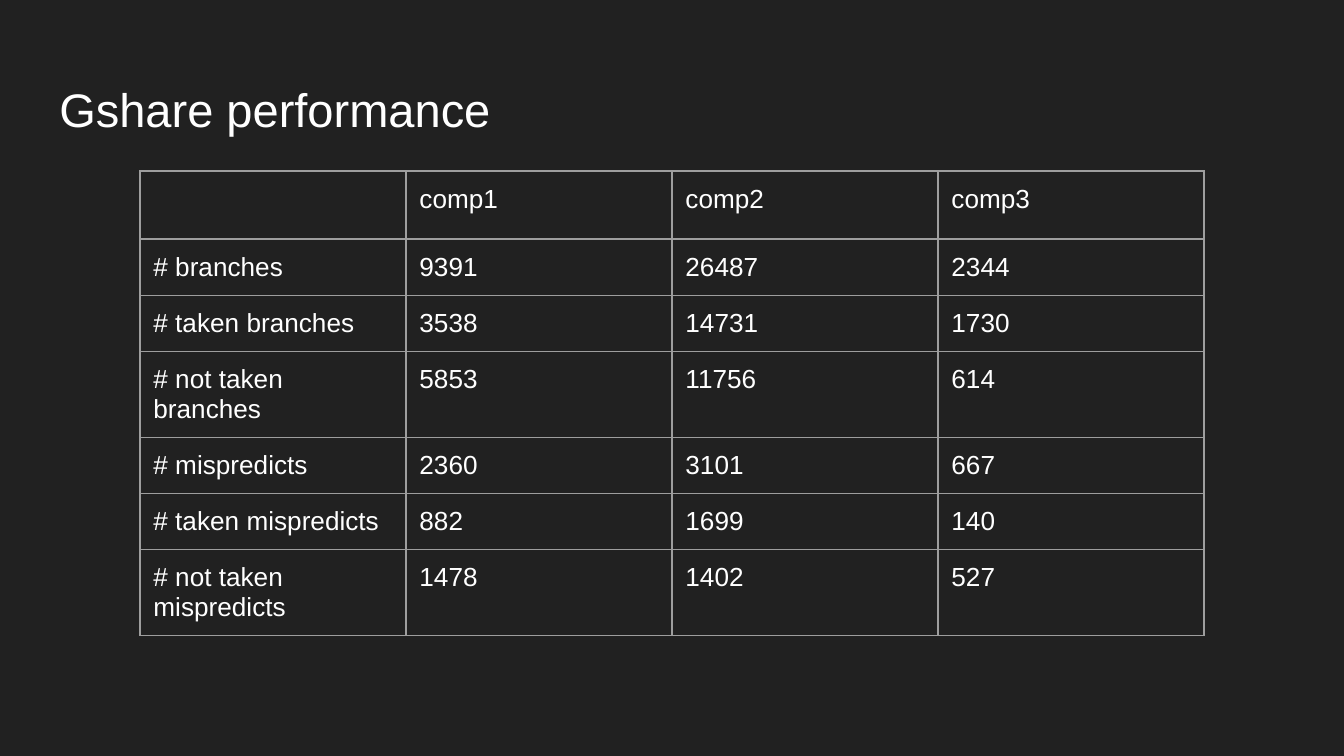
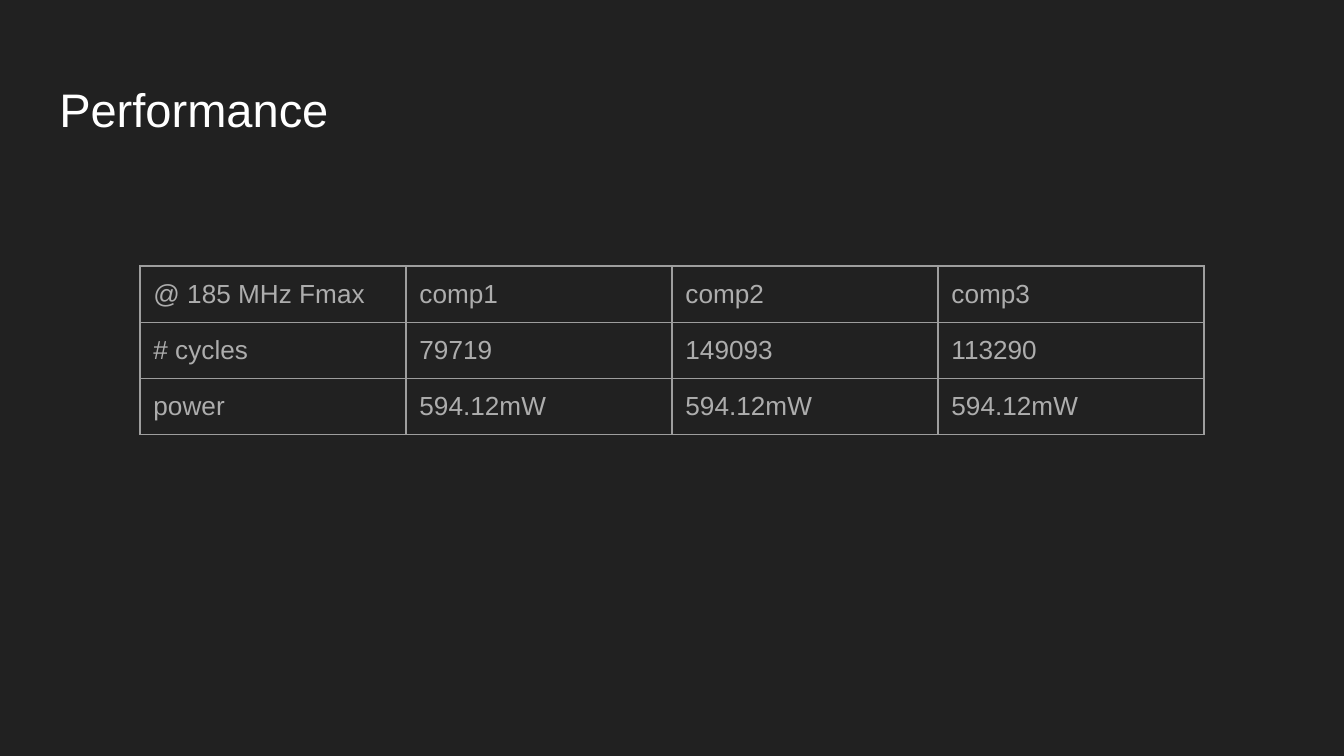
import pptx
import pptx.dml.color
import pptx.enum.text
import pptx.oxml.ns
import pptx.util
from dataclasses import dataclass
from lxml import etree

Pt = pptx.util.Pt
RGB = pptx.dml.color.RGBColor.from_string


@dataclass(frozen=True)
class Theme:
    background: str = "212121"
    white: str = "FFFFFF"
    grey: str = "ADADAD"
    border: str = "9E9E9E"
    border_width: float = 0.75
    font: str = "Arial"
    title_size: float = 25.2
    cell_size: float = 14
    inset: float = 7.2


THEME = Theme()
SLIDE_SIZE = (720, 405)
TITLE_BOX = (24.55, 35.4, 671, 45.1)
TABLE_LEFT, COLUMN_WIDTH, ROW_HEIGHT = 75, 142.5, 30

SLIDES = [
    {
        "title": "Gshare performance",
        "table_top": 91.6,
        "color": THEME.white,
        "rows": [
            ("", "comp1", "comp2", "comp3"),
            ("# branches", "9391", "26487", "2344"),
            ("# taken branches", "3538", "14731", "1730"),
            ("# not taken branches", "5853", "11756", "614"),
            ("# mispredicts", "2360", "3101", "667"),
            ("# taken mispredicts", "882", "1699", "140"),
            ("# not taken mispredicts", "1478", "1402", "527"),
        ],
    },
    {
        "title": "Performance",
        "table_top": 142.5,
        "color": THEME.grey,
        "rows": [
            ("@ 185 MHz Fmax", "comp1", "comp2", "comp3"),
            ("# cycles", "79719", "149093", "113290"),
            ("power", "594.12mW", "594.12mW", "594.12mW"),
        ],
    },
]


def add_run(paragraph, text, size, color):
    run = paragraph.add_run()
    run.text = text
    run.font.name = THEME.font
    run.font.size = Pt(size)
    run.font.color.rgb = RGB(color)


def set_insets(holder):
    for side in ("left", "top", "right", "bottom"):
        setattr(holder, f"margin_{side}", Pt(THEME.inset))


def set_borders(cell):
    qn = pptx.oxml.ns.qn
    properties = cell._tc.get_or_add_tcPr()
    for tag in ("a:lnL", "a:lnR", "a:lnT", "a:lnB"):
        line = etree.SubElement(properties, qn(tag), w=str(Pt(THEME.border_width)))
        fill = etree.SubElement(line, qn("a:solidFill"))
        etree.SubElement(fill, qn("a:srgbClr"), val=THEME.border)


def add_title(slide, text):
    title = slide.shapes.title
    title.left, title.top, title.width, title.height = map(Pt, TITLE_BOX)
    frame = title.text_frame
    frame.word_wrap = True
    frame.auto_size = pptx.enum.text.MSO_AUTO_SIZE.NONE
    frame.vertical_anchor = pptx.enum.text.MSO_ANCHOR.BOTTOM
    set_insets(frame)
    paragraph = frame.paragraphs[0]
    paragraph.alignment = pptx.enum.text.PP_ALIGN.LEFT
    add_run(paragraph, text, THEME.title_size, THEME.white)


def add_results_table(slide, top, rows, color):
    column_count = len(rows[0])
    table = slide.shapes.add_table(
        len(rows), column_count, Pt(TABLE_LEFT), Pt(top),
        Pt(COLUMN_WIDTH * column_count), Pt(ROW_HEIGHT * len(rows)),
    ).table
    table.first_row = False
    table.horz_banding = False
    for row, texts in zip(table.rows, rows):
        for cell, text in zip(row.cells, texts):
            set_insets(cell)
            set_borders(cell)
            cell.fill.background()
            if text:
                add_run(cell.text_frame.paragraphs[0], text, THEME.cell_size, color)


def main():
    presentation = pptx.Presentation()
    presentation.slide_width, presentation.slide_height = map(Pt, SLIDE_SIZE)
    background = presentation.slide_master.background.fill
    background.solid()
    background.fore_color.rgb = RGB(THEME.background)
    title_only = presentation.slide_layouts.get_by_name("Title Only")
    for content in SLIDES:
        slide = presentation.slides.add_slide(title_only)
        add_title(slide, content["title"])
        add_results_table(slide, content["table_top"], content["rows"], content["color"])
    presentation.save("out.pptx")


if __name__ == "__main__":
    main()
